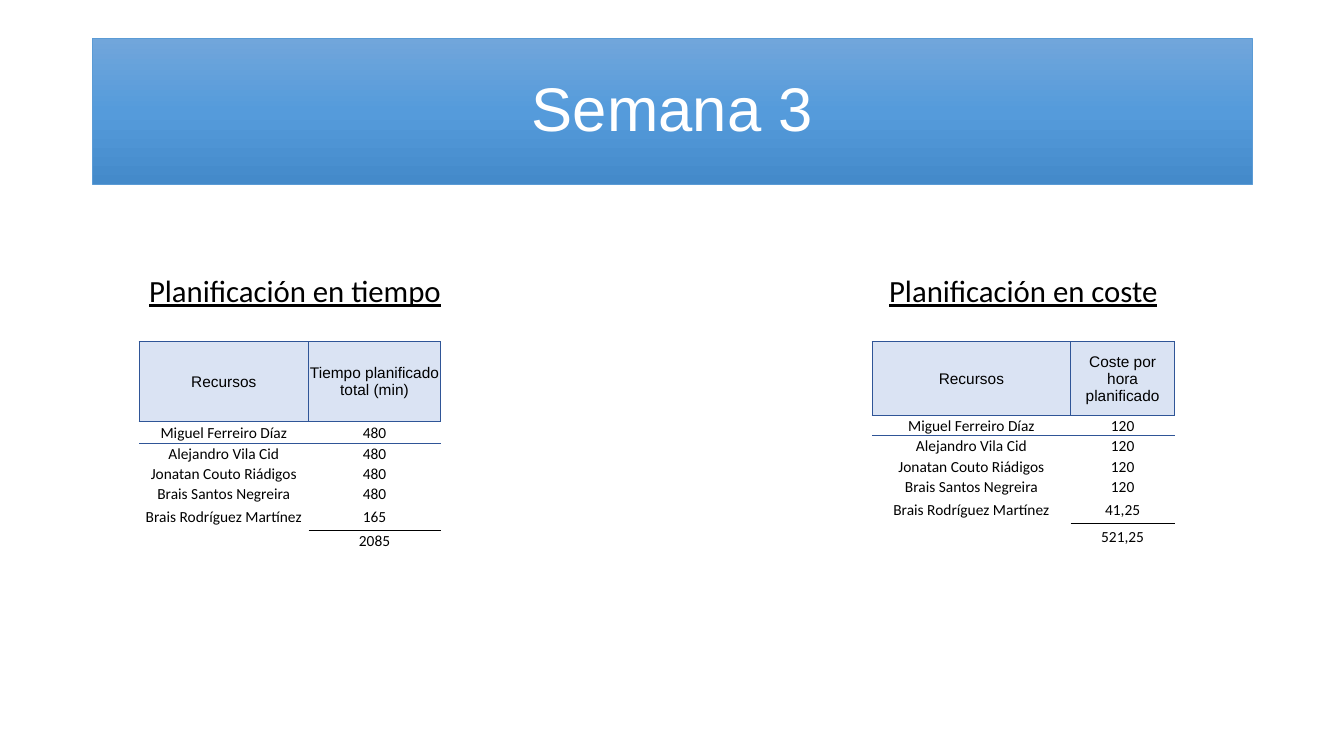
from copy import deepcopy

from lxml import etree
from pptx import Presentation
from pptx import util as u
from pptx.dml.color import RGBColor
from pptx.enum import text
from pptx.oxml.ns import qn

WHITE = RGBColor(0xFF, 0xFF, 0xFF)
BLACK = RGBColor(0, 0, 0)
SKY = RGBColor(0x5B, 0x9B, 0xD5)
NAVY = RGBColor(0x2F, 0x55, 0x97)
PALE = RGBColor(0xDA, 0xE3, 0xF3)
SHADES = [RGBColor(0x71, 0xA6, 0xDB), RGBColor(0x55, 0x9B, 0xDB),
          RGBColor(0x44, 0x8A, 0xCA)]
PLAIN = "{2D5ABB26-0587-4C30-8999-92F81FD0307C}"  # table style without lines


class Deck:
    head, body = "Arial", "Calibri"

    def __init__(self, prs):
        self.slide = prs.slides.add_slide(prs.slide_layouts[5])

    def words(self, frame, words, size, font, color=BLACK, align=None, under=None):
        frame.text = words
        para = frame.paragraphs[0]
        para.alignment = align
        for run in para.runs:
            run.font.size, run.font.name = u.Pt(size), font
            run.font.color.rgb, run.font.underline = color, under
        return para

    def title(self, words, box):
        shape = self.slide.shapes.title
        shape.left, shape.top, shape.width, shape.height = map(u.Inches, box)
        # Three-stop gradient running downwards
        shape.fill.gradient()
        shape.fill.gradient_angle = 270
        first = shape.element.spPr.find(".//" + qn("a:gs"))
        first.addnext(deepcopy(first))
        for stop, place, shade in zip(shape.fill.gradient_stops, (0, 0.5, 1), SHADES):
            stop.position, stop.color.rgb = place, shade
        shape.line.color.rgb, shape.line.width = SKY, u.Pt(0.5)
        shape.text_frame.vertical_anchor = text.MSO_ANCHOR.MIDDLE
        para = self.words(shape.text_frame, words, 44, self.head, WHITE,
                          text.PP_ALIGN.CENTER)
        para.line_spacing = 0.9

    def label(self, words, box):
        frame = self.slide.shapes.add_textbox(*map(u.Inches, box)).text_frame
        frame.word_wrap = True
        self.words(frame, words, 22, self.body, under=True)

    def border(self, cell, sides, color, width):
        props = cell._tc.get_or_add_tcPr()
        for side in sides:
            line = etree.SubElement(props, qn("a:ln" + side), w=str(u.Pt(width)))
            fill = etree.SubElement(line, qn("a:solidFill"))
            etree.SubElement(fill, qn("a:srgbClr"), val=str(color))

    def cell(self, cell, words, top):
        cell.margin_left = cell.margin_right = cell.margin_top = u.Inches(0.01)
        cell.margin_bottom = 0
        cell.vertical_anchor = text.MSO_ANCHOR.MIDDLE
        para = self.words(cell.text_frame, words, 11, self.head if top else self.body,
                          align=text.PP_ALIGN.CENTER)
        if not words:  # keeps the empty row low
            etree.SubElement(para._p, qn("a:endParaRPr"), sz="1100")

    def table(self, rows, left, top, widths, heights):
        frame = self.slide.shapes.add_table(
            len(rows), len(widths), u.Inches(left), u.Inches(top),
            u.Inches(sum(widths)), u.Inches(sum(heights)))
        grid = frame.table
        grid.first_row = grid.horz_banding = False
        grid._tbl.tblPr.find(qn("a:tableStyleId")).text = PLAIN
        for col, width in zip(grid.columns, widths):
            col.width = u.Inches(width)
        last = len(rows) - 1
        for r, (row, height) in enumerate(zip(rows, heights)):
            grid.rows[r].height = u.Inches(height)
            for c, words in enumerate(row):
                cell = grid.cell(r, c)
                self.cell(cell, words, r == 0)
                # Header box, then the rule above the total
                if r == 0:
                    self.border(cell, "LRTB", NAVY, 1)
                elif r == 1:
                    self.border(cell, "T", NAVY, 1)
                elif c == 1 and r >= last - 1:
                    self.border(cell, "T" if r == last else "B", BLACK, 0.5)
                # Fill
                if r == 0 or (c == 0 and r < last):
                    cell.fill.solid()
                    cell.fill.fore_color.rgb = WHITE if r else PALE
                else:
                    cell.fill.background()


prs = Presentation()
prs.slide_width, prs.slide_height = u.Inches(13.33), u.Inches(7.5)
deck = Deck(prs)
deck.title("Semana 3", (0.92, 0.38, 11.5, 1.45))

# Heading and table for each plan
TEAM = ["Miguel Ferreiro Díaz", "Alejandro Vila Cid", "Jonatan Couto Riádigos",
        "Brais Santos Negreira", "Brais Rodríguez Martínez"]
PLANS = [
    ("Planificación en tiempo", 1.38, "Tiempo planificado total (min)",
     ["480"] * 4 + ["165", "2085"], 1.38, (1.68, 1.31),
     (0.79, 0.22, 0.2, 0.2, 0.2, 0.26, 0.2)),
    ("Planificación en coste", 8.72, "Coste por hora planificado",
     ["120"] * 4 + ["41,25", "521,25"], 8.65, (1.97, 1.03),
     (0.73, 0.2, 0.21, 0.2, 0.2, 0.26, 0.26)),
]
for name, edge, unit, sums, left, widths, heights in PLANS:
    deck.label(name, (edge, 2.65, 3.12, 0.47))
    rows = [("Recursos", unit), *zip(TEAM + [""], sums)]
    deck.table(rows, left, 3.39, widths, heights)

prs.save("out.pptx")
